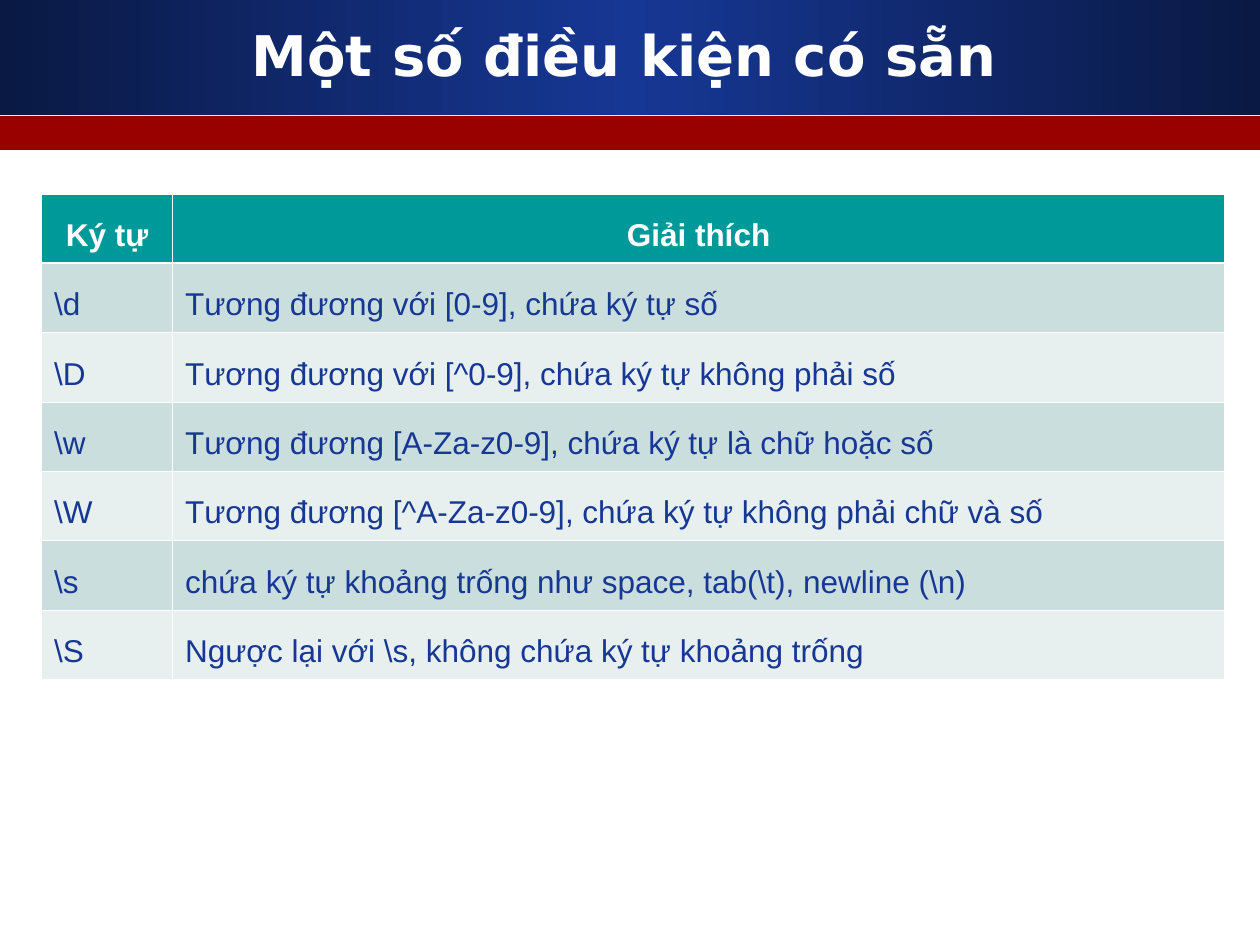
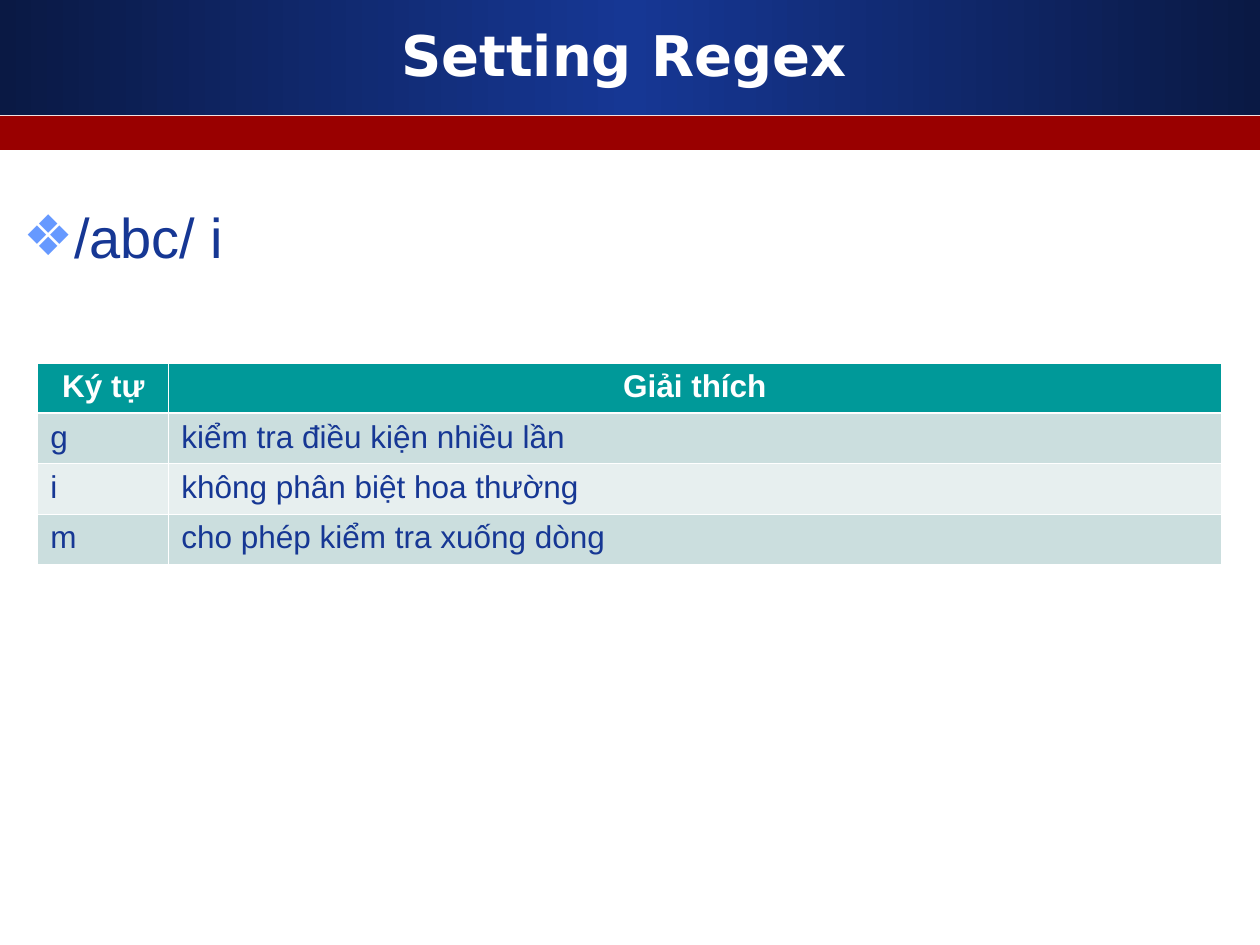
"""Build two slides on regular expressions: character classes and flags."""
from copy import deepcopy
from dataclasses import dataclass

from pptx import Presentation
from pptx import util as u
from pptx.dml.color import RGBColor
from pptx.enum import shapes, text
from pptx.oxml import parse_xml
from pptx.oxml.ns import nsdecls, qn


@dataclass(frozen=True)
class Theme:
    navy: str = "0A1944"
    blue: str = "163794"
    red: str = "990000"
    white: str = "FFFFFF"
    teal: str = "009999"
    bands: tuple = ("CBDEDE", "E7EFEF")
    bullet: str = "6699FF"
    title_font: str = "DejaVu Sans"
    body_font: str = "Arial"
    large: int = 32
    small: int = 18
    thin: float = 0.45
    thick: float = 1.47


T = Theme()
CENTER = text.PP_ALIGN.CENTER


def put_text(tf, words, size=T.small, color=T.blue, font=T.body_font, bold=False,
             align=text.PP_ALIGN.LEFT, spacing=1.0, bullet=None):
    tf.word_wrap = True
    p = tf.paragraphs[0]
    p.alignment, p.line_spacing, p.space_before = align, spacing, u.Pt(0)
    if bullet:
        pPr = p._p.get_or_add_pPr()
        indent = u.Inches(0.38)
        pPr.set("marL", str(indent))
        pPr.set("indent", str(-indent))
        pPr.append(parse_xml(f'<a:buClr {nsdecls("a")}><a:srgbClr val="{T.bullet}"/></a:buClr>'))
        pPr.append(parse_xml(f'<a:buChar {nsdecls("a")} char="{bullet}"/>'))
    r = p.add_run()
    r.text = words
    r.font.name, r.font.size, r.font.bold = font, u.Pt(size), bold
    r.font.color.rgb = RGBColor.from_string(color)


def add_grid(s, left, top, row_height, rows, spacing):
    widths = (1.04, 8.35)
    frame = s.shapes.add_table(len(rows), len(widths), u.Inches(left), u.Inches(top),
                               u.Inches(sum(widths)), u.Inches(row_height * len(rows)))
    table = frame.table
    for column, width in zip(table.columns, widths):
        column.width = u.Inches(width)
    for i, row in enumerate(rows):
        header = i == 0
        for j, words in enumerate(row):
            cell = table.cell(i, j)
            tcPr = cell._tc.get_or_add_tcPr()
            for side in "LRTB":
                heavy = (i, side) in ((0, "B"), (1, "T"))
                width = u.Pt(T.thick if heavy else T.thin)
                tcPr.append(parse_xml(
                    f'<a:ln{side} {nsdecls("a")} w="{width}"><a:solidFill>'
                    f'<a:srgbClr val="{T.white}"/></a:solidFill></a:ln{side}>'))
            cell.fill.solid()
            cell.fill.fore_color.rgb = RGBColor.from_string(T.teal if header else T.bands[(i - 1) % 2])
            put_text(cell.text_frame, words, color=T.white if header else T.blue, bold=header,
                     align=CENTER if header else text.PP_ALIGN.LEFT, spacing=spacing)


prs = Presentation()
prs.slide_width, prs.slide_height = u.Inches(10), u.Inches(7.5)
classes = prs.slides.add_slide(prs.slide_layouts[5])
flags = prs.slides.add_slide(prs.slide_layouts[1])

master_tree = prs.slide_master.element.cSld.spTree
for index, (top, height, colors) in enumerate([
        (0, 0.91, (T.navy, T.blue, T.navy)), (0.92, 0.27, (T.red,))]):
    sp = classes.shapes.add_shape(shapes.MSO_SHAPE.RECTANGLE, 0, u.Inches(top),
                                  prs.slide_width, u.Inches(height))
    sp.shadow.inherit = False
    sp.line.fill.background()
    if len(colors) == 1:
        sp.fill.solid()
        sp.fill.fore_color.rgb = RGBColor.from_string(colors[0])
    else:
        sp.fill.gradient()
        sp.fill.gradient_angle = 0
        stops = sp.element.spPr.find(".//" + qn("a:gsLst"))
        stops.insert(1, deepcopy(stops[0]))
        for stop, position, color in zip(sp.fill.gradient_stops, (0, 0.5, 1), colors):
            stop.position = position
            stop.color.rgb = RGBColor.from_string(color)
    master_tree.insert(2 + index, sp.element)

for s, words in ((classes, "Một số điều kiện có sẵn"), (flags, "Setting Regex")):
    title = s.shapes.title
    title.left, title.top, title.width, title.height = map(u.Inches, (0.33, 0.17, 9.25, 0.62))
    tf = title.text_frame
    tf.auto_size = text.MSO_AUTO_SIZE.NONE
    tf.vertical_anchor = text.MSO_ANCHOR.MIDDLE
    put_text(tf, words, size=T.large, color=T.white, font=T.title_font, bold=True,
             align=CENTER, spacing=0.8)

body = flags.placeholders[1]
body.left, body.top, body.width, body.height = map(u.Inches, (0.09, 1.29, 9.98, 6.22))
body.text_frame.auto_size = text.MSO_AUTO_SIZE.NONE
put_text(body.text_frame, "/abc/ i", size=T.large, spacing=1.5, bullet="❖")

heading = ("Ký tự", "Giải thích")
add_grid(classes, 0.33, 1.54, 0.55, [
    heading,
    (r"\d", "Tương đương với [0-9], chứa ký tự số"),
    (r"\D", "Tương đương với [^0-9], chứa ký tự không phải số"),
    (r"\w", "Tương đương [A-Za-z0-9], chứa ký tự là chữ hoặc số"),
    (r"\W", "Tương đương [^A-Za-z0-9], chứa ký tự không phải chữ và số"),
    (r"\s", r"chứa ký tự khoảng trống như space, tab(\t), newline (\n)"),
    (r"\S", r"Ngược lại với \s, không chứa ký tự khoảng trống"),
], spacing=1.5)
add_grid(flags, 0.3, 2.88, 0.4, [
    heading,
    ("g", "kiểm tra điều kiện nhiều lần"),
    ("i", "không phân biệt hoa thường"),
    ("m", "cho phép kiểm tra xuống dòng"),
], spacing=1.0)

prs.save("out.pptx")
